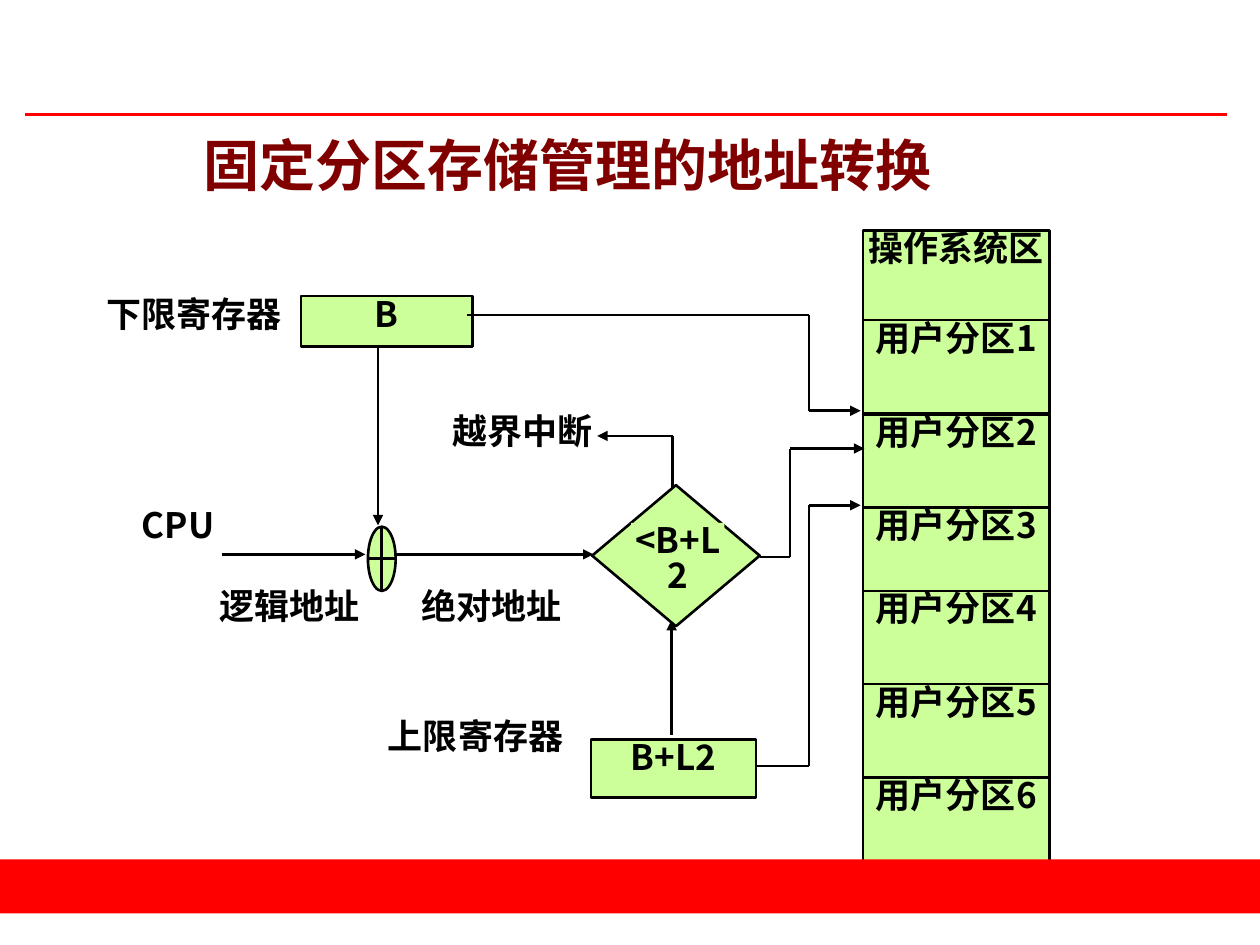
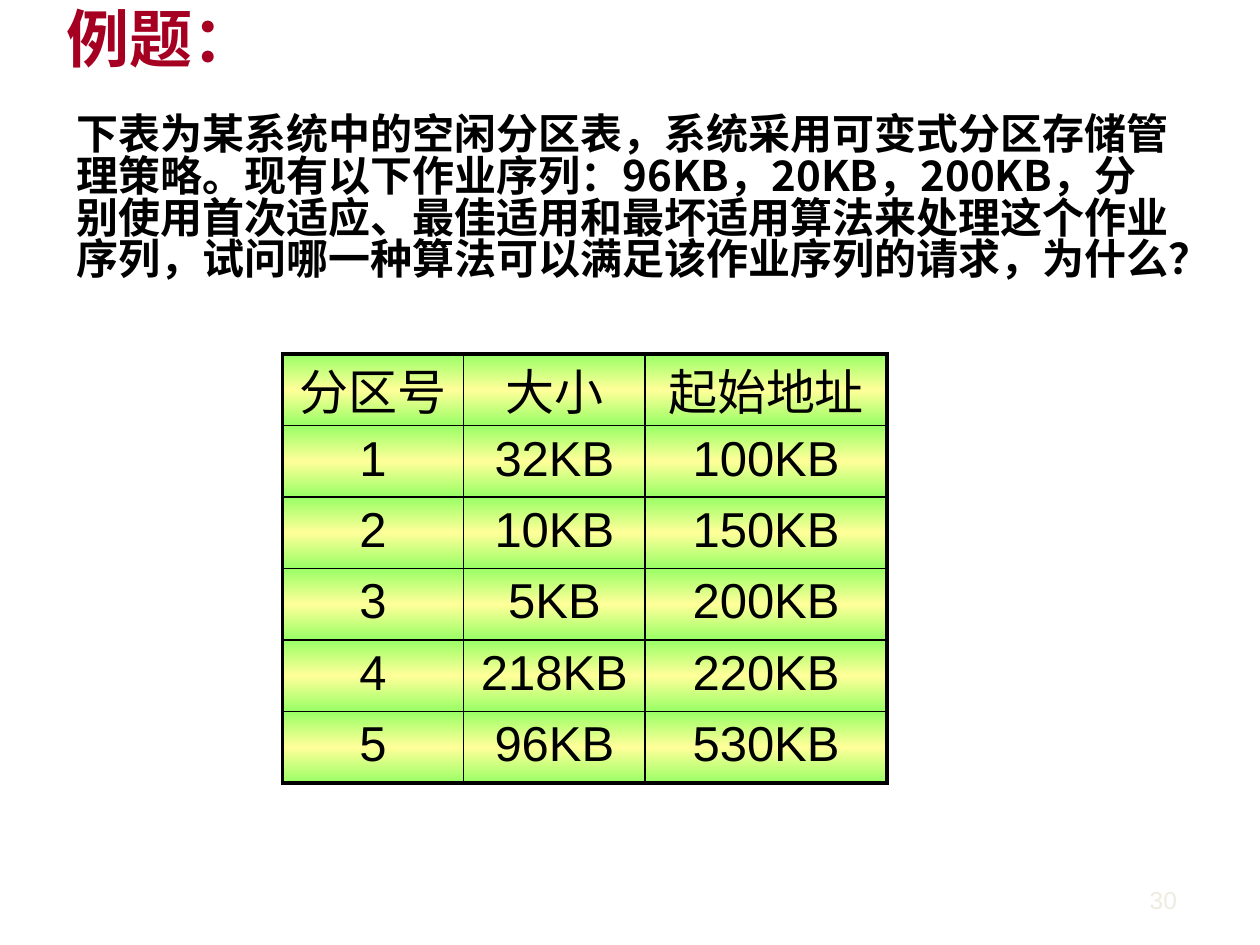
from dataclasses import dataclass
from itertools import pairwise

from lxml import etree
from pptx import Presentation
from pptx.dml.color import RGBColor
from pptx.enum.shapes import MSO_CONNECTOR, MSO_SHAPE
from pptx.enum.text import MSO_ANCHOR, PP_ALIGN
from pptx.oxml.ns import qn
from pptx.util import Inches, Pt

LEFT, CENTER, RIGHT = PP_ALIGN.LEFT, PP_ALIGN.CENTER, PP_ALIGN.RIGHT
TOP, BOTTOM = MSO_ANCHOR.TOP, MSO_ANCHOR.BOTTOM
RECT, OR_GATE = MSO_SHAPE.RECTANGLE, MSO_SHAPE.FLOWCHART_OR
DECISION = MSO_SHAPE.FLOWCHART_DECISION
STRAIGHT = MSO_CONNECTOR.STRAIGHT
COLUMNS, ROWS = 100, 75


@dataclass(frozen=True)
class Theme:
    ink: str = "000000"
    box: str = "CCFF99"
    band: str = "FF0000"
    title: str = "800000"
    heading: str = "A50021"
    page: str = "EEECE1"
    cell_edge: str = "99FF66"
    cell_middle: str = "FFFF99"
    cjk: str = "Noto Sans CJK SC"
    title_font: str = "Calibri"
    table_font: str = "Arial"
    title_size: int = 32
    heading_size: int = 36
    body_size: int = 24
    table_size: int = 28
    label_size: int = 20
    page_size: int = 14
    thin: float = 0.75
    grid: float = 1
    line: float = 1.5
    frame: float = 2.25
    leading: float = 0.83
    lead_in: float = 0.09


class Deck:
    def __init__(self, theme):
        self.t = theme
        self.prs = Presentation()
        self.prs.slide_width, self.prs.slide_height = Inches(10), Inches(7.5)
        self.col = self.prs.slide_width / COLUMNS
        self.row = self.prs.slide_height / ROWS
        self.s = None

    def slide(self):
        self.s = self.prs.slides.add_slide(self.prs.slide_layouts[6])

    def place(self, x, y, w, h):
        return (round(x * self.col), round(y * self.row),
                round(w * self.col), round(h * self.row))

    def style(self, p, size, color, font, bold, align):
        p.alignment = align
        for r in p.runs:
            r.font.size, r.font.bold, r.font.name = Pt(size), bold, font
            r.font.color.rgb = RGBColor.from_string(color)
            ea = etree.SubElement(r._r.get_or_add_rPr(), qn("a:ea"))
            ea.set("typeface", self.t.cjk)

    def set_text(self, sp, text, size=None, color=None, font=None, bold=True,
                 align=CENTER, anchor=TOP, inset=(0, 0), tight=True):
        size = size or self.t.label_size
        tf = sp.text_frame
        tf.word_wrap = True
        tf.vertical_anchor = anchor
        tf.margin_left = tf.margin_right = Inches(inset[0])
        tf.margin_top = tf.margin_bottom = Inches(inset[1])
        tf.text = text
        p = tf.paragraphs[0]
        if tight:
            p.line_spacing = self.t.leading
            if anchor == TOP:
                tf.margin_top = Inches(inset[1]) + Pt(size * self.t.lead_in)
        self.style(p, size, color or self.t.ink, font or self.t.cjk, bold, align)

    def label(self, text, *box, **look):
        self.set_text(self.s.shapes.add_textbox(*self.place(*box)), text, **look)

    def passage(self, text, *box, **look):
        self.label(text, *box, inset=(0.1, 0.05), **look)

    def shape(self, kind, *box, text=None, fill=None, outlined=True):
        sp = self.s.shapes.add_shape(kind, *self.place(*box))
        sp.shadow.inherit = False
        sp.fill.solid()
        sp.fill.fore_color.rgb = RGBColor.from_string(fill or self.t.box)
        if outlined:
            sp.line.color.rgb = RGBColor.from_string(self.t.ink)
            sp.line.width = Pt(self.t.line)
        else:
            sp.line.fill.background()
        if text:
            self.set_text(sp, text)

    def line(self, *points, arrow=False, color=None, width=None):
        for start, end in pairwise(points):
            x1, y1, x2, y2 = self.place(*start, *end)
            c = self.s.shapes.add_connector(STRAIGHT, x1, y1, x2, y2)
            c.line.color.rgb = RGBColor.from_string(color or self.t.ink)
            c.line.width = Pt(width or self.t.line)
            sp_pr = c._element.spPr
            etree.SubElement(sp_pr, qn("a:effectLst"))
            if arrow and end == points[-1]:
                tail = etree.SubElement(sp_pr.find(qn("a:ln")), qn("a:tailEnd"))
                tail.set("type", "triangle")

    def add_color(self, parent, color):
        etree.SubElement(parent, qn("a:srgbClr")).set("val", color)

    def paint_cell(self, cell, outer):
        tc_pr = cell._tc.get_or_add_tcPr()
        for side, is_outer in zip("LRTB", outer):
            ln = etree.SubElement(tc_pr, qn(f"a:ln{side}"))
            ln.set("w", str(int(Pt(self.t.frame if is_outer else self.t.grid))))
            self.add_color(etree.SubElement(ln, qn("a:solidFill")), self.t.ink)
        grad = etree.SubElement(tc_pr, qn("a:gradFill"))
        stops = etree.SubElement(grad, qn("a:gsLst"))
        colors = (self.t.cell_edge, self.t.cell_middle, self.t.cell_edge)
        for i, color in enumerate(colors):
            gs = etree.SubElement(stops, qn("a:gs"))
            gs.set("pos", str(i * 50000))
            self.add_color(gs, color)
        etree.SubElement(grad, qn("a:lin")).set("ang", "5400000")

    def table(self, data, x, y, widths, h):
        n, m = len(data), len(widths)
        box = self.place(x, y, sum(widths), h)
        tbl = self.s.shapes.add_table(n, m, *box).table
        tbl.first_row = tbl.horz_banding = False
        for j, w in enumerate(widths):
            tbl.columns[j].width = round(w * self.col)
        for i, values in enumerate(data):
            tbl.rows[i].height = round(h / n * self.row)
            for j, value in enumerate(values):
                cell = tbl.cell(i, j)
                cell.text = value
                if i == 0:
                    cell.margin_top = cell.margin_bottom = 0
                self.style(cell.text_frame.paragraphs[0], self.t.table_size,
                           self.t.ink, self.t.table_font, False, CENTER)
                self.paint_cell(cell, (j == 0, j == m - 1, i == 0, i == n - 1))


def address_translation(d):
    t = d.t
    d.slide()
    d.passage("固定分区存储管理的地址转换", 2.4, 6.8, 85.3, 9.4, size=t.title_size,
              color=t.title, font=t.title_font, anchor=BOTTOM)

    partition_tops = (18.3, 25.4, 32.9, 40.3, 46.9, 54.3, 61.7)
    for i, top in enumerate(partition_tops):
        name = f"用户分区{i}" if i else "操作系统区"
        d.shape(RECT, 68.5, top, 14.8, 7.4, text=name)

    for text, *box in (
        ("下限寄存器", 8.3, 23.5, 14.2, 4),
        ("CPU", 10.8, 40.3, 6.7, 4.7),
        ("逻辑地址", 16.7, 46.7, 12.6, 4.9),
        ("绝对地址", 33, 46.7, 12, 4.9),
        ("上限寄存器", 30.5, 57, 14.5, 4.6),
        ("越界中断", 35.7, 32.8, 11.5, 7.4),
    ):
        d.label(text, *box)

    d.shape(RECT, 23.9, 23.5, 13.6, 4, text="B")
    d.shape(RECT, 46.9, 58.7, 13.1, 4.6, text="B+L2")
    d.shape(OR_GATE, 29.2, 41.8, 2.2, 5.1)
    d.line((53.3, 58.3), (53.3, 49.2), arrow=True)
    d.shape(DECISION, 47, 38.5, 13.3, 11.2)
    d.shape(RECT, 50.1, 41.5, 7.4, 4.6, text="<B+L2", outlined=False)

    d.line((17.6, 44), (29, 44), arrow=True)
    d.line((31.3, 44), (47.1, 44), arrow=True)
    d.line((30, 27.5), (30, 41.7), arrow=True, width=t.thin)
    d.line((37.1, 25), (64.2, 25), (64.2, 32.6), (68.3, 32.6), arrow=True)
    d.line((60.1, 60.8), (64.2, 60.8), (64.2, 40.1), (68.3, 40.1), arrow=True)
    d.line((60.3, 44.2), (62.7, 44.2), (62.7, 35.6), (68.6, 35.6), arrow=True)
    d.line((53.4, 38.7), (53.4, 34.6), (47.4, 34.6), arrow=True)

    d.shape(RECT, 0, 68.2, COLUMNS, 4.3, fill=t.band, outlined=False)
    d.line((2, 9.1), (97.4, 9.1), color=t.band)


def free_partition_exercise(d):
    t = d.t
    d.slide()
    d.passage("下表为某系统中的空闲分区表，系统采用可变式分区存储管理策略。"
              "现有以下作业序列：96KB，20KB，200KB，"
              "分别使用首次适应、最佳适用和最坏适用算法来处理这个作业序列，"
              "试问哪一种算法可以满足该作业序列的请求，为什么？",
              5.1, 8.4, 89.2, 17, size=t.body_size, align=LEFT)
    d.table((
        ("分区号", "大小", "起始地址"),
        ("1", "32KB", "100KB"),
        ("2", "10KB", "150KB"),
        ("3", "5KB", "200KB"),
        ("4", "218KB", "220KB"),
        ("5", "96KB", "530KB"),
    ), 22.4, 28.1, (14.4, 14.4, 19.2), 34)
    d.passage("例题：", 4.3, 0, 25, 7, size=t.heading_size, color=t.heading,
              font=t.title_font, align=LEFT)
    d.passage("30", 73.6, 68.1, 20.8, 5, size=t.page_size, color=t.page,
              font=t.table_font, bold=False, align=RIGHT, anchor=BOTTOM, tight=False)


def main():
    d = Deck(Theme())
    address_translation(d)
    free_partition_exercise(d)
    d.prs.save("out.pptx")


if __name__ == "__main__":
    main()
